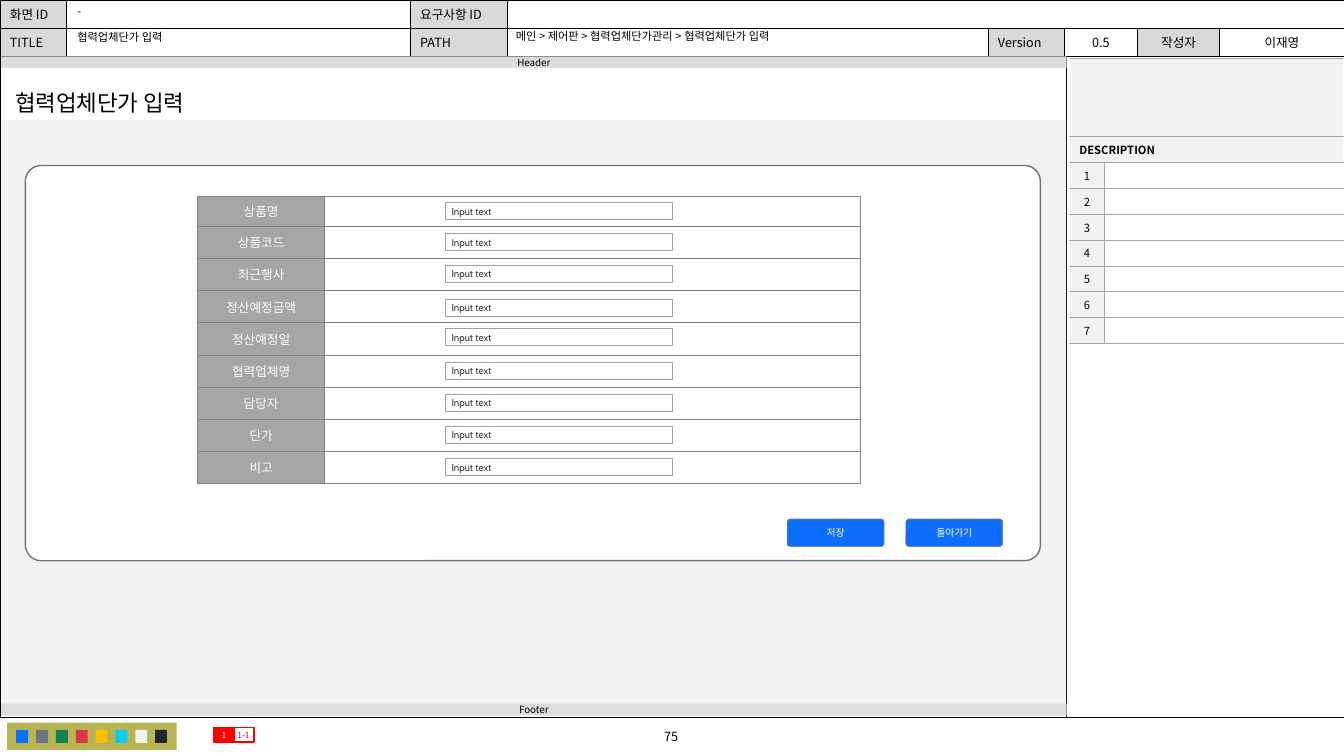
from pptx import Presentation
from pptx.dml.color import RGBColor
from pptx.enum.shapes import MSO_CONNECTOR, MSO_SHAPE
from pptx.enum.text import MSO_ANCHOR, PP_ALIGN
from pptx.oxml.ns import qn
from pptx.util import Cm, Pt
from lxml.etree import SubElement

BLACK = RGBColor(0x00, 0x00, 0x00)
WHITE = RGBColor(0xFF, 0xFF, 0xFF)
RED = RGBColor(0xFF, 0x00, 0x00)
BLUE = RGBColor(0x0D, 0x6E, 0xFD)
SLATE = RGBColor(0x6C, 0x75, 0x7D)
PALE = RGBColor(0xF2, 0xF2, 0xF2)
BAR = RGBColor(0xDD, 0xDD, 0xDD)
LABEL = RGBColor(0xD9, 0xD9, 0xD9)
SILVER = RGBColor(0xA6, 0xA6, 0xA6)
GRAY = RGBColor(0x80, 0x80, 0x80)
EDGE = RGBColor(0xA0, 0xA0, 0xA0)
INK = RGBColor(0x33, 0x33, 0x33)
OLIVE = RGBColor(0xB7, 0xB5, 0x53)
SWATCHES = [BLUE, SLATE, RGBColor(0x10, 0x83, 0x4E), RGBColor(0xDC, 0x35, 0x45),
            RGBColor(0xFF, 0xBE, 0x00), RGBColor(0x0D, 0xCA, 0xF0), PALE,
            RGBColor(0x21, 0x25, 0x29)]
NOTO, CABIN = "Noto Sans CJK KR", "Cabin"
LEFT, MID = PP_ALIGN.LEFT, PP_ALIGN.CENTER

TITLE = "협력업체단가 입력"
PAGE = "75"
HEAD = [["화면 ID", "", "요구사항 ID", "", "", "", "", ""],
        ["TITLE", "", "PATH", "", "Version", "0.5", "작성자", "이재영"]]
HEAD_COLS = [1.68, 8.66, 2.44, 12.12, 1.93, 1.83, 2.08, 3.13]
# text, left, top, width
INFO = [("-", 1.7, 0.03, 8.64),
        (TITLE, 1.7, 0.68, 8.6),
        ("메인 > 제어판 > 협력업체단가관리 > 협력업체단가 입력", 12.75, 0.66, 12.04)]
BANDS = [("Header", 1.42), ("Footer", 17.73)]
NOTES = 7
FIELDS = ["상품명", "상품코드", "최근행사", "정산예정금액", "정산예정일",
          "협력업체명", "담당자", "단가", "비고"]
INPUTS = [5.11, 5.89, 6.68, 7.54, 8.28, 9.12, 9.93, 10.74, 11.56]
BUTTONS = [("저장", 19.84), ("돌아가기", 22.83)]
# text, left, fill, font colour
BADGES = [("1-1", 5.87, None, RED), ("1", 5.38, RED, WHITE)]

deck = Presentation()
deck.slide_width, deck.slide_height = Cm(33.87), Cm(19.05)
slide = deck.slides.add_slide(deck.slide_layouts[5])
shapes = slide.shapes


def style(para, size, color=BLACK, face=NOTO, align=LEFT, bold=False):
    para.alignment = align
    font = para.font
    font.size, font.bold, font.name = Pt(size), bold, face
    font.color.rgb = color
    props = para._p.pPr.find(qn("a:defRPr"))
    SubElement(props, qn("a:ea")).set("typeface", face)


def pad(box, side, end=0):
    box.margin_left = box.margin_right = Cm(side)
    box.margin_top = box.margin_bottom = Cm(end)
    box.vertical_anchor = MSO_ANCHOR.MIDDLE


def shape(x, y, w, h, fill=None, line=None, width=0.5, round=None):
    kind = MSO_SHAPE.RECTANGLE if round is None else MSO_SHAPE.ROUNDED_RECTANGLE
    item = shapes.add_shape(kind, Cm(x), Cm(y), Cm(w), Cm(h))
    item.shadow.inherit = False
    if round is not None:
        item.adjustments[0] = round
    if fill is None:
        item.fill.background()
    else:
        item.fill.solid()
        item.fill.fore_color.rgb = fill
    if line is None:
        item.line.fill.background()
    else:
        item.line.color.rgb = line
        item.line.width = Pt(width)
    return item


def write(item, text, size, side=0, **look):
    frame = item.text_frame
    frame.word_wrap = True
    pad(frame, side)
    frame.text = text
    style(frame.paragraphs[0], size, **look)


def note(text, x, y, w, h, size, align=LEFT):
    box = shapes.add_textbox(Cm(x), Cm(y), Cm(w), Cm(h))
    frame = box.text_frame
    frame.word_wrap = True
    frame.text = text
    style(frame.paragraphs[0], size, align=align)
    return frame.paragraphs[0]


def grid(x, y, cols, rows):
    table = shapes.add_table(len(rows), len(cols), Cm(x), Cm(y),
                             Cm(sum(cols)), Cm(sum(rows))).table
    table.first_row = table.horz_banding = False
    for col, w in zip(table.columns, cols):
        col.width = Cm(w)
    for row, h in zip(table.rows, rows):
        row.height = Cm(h)
    return table


def fill_cell(cell, text, fill, size, line, width, sides="LRTB", side=0.25, **look):
    props = cell._tc.get_or_add_tcPr()
    for edge in sides:
        stroke = SubElement(props, qn("a:ln" + edge), w=str(Pt(width)))
        paint = SubElement(stroke, qn("a:solidFill"))
        SubElement(paint, qn("a:srgbClr"), val=str(line))
    cell.fill.solid()
    cell.fill.fore_color.rgb = fill
    pad(cell, side)
    cell.text = text
    style(cell.text_frame.paragraphs[0], size, **look)


# Page frame
head = grid(0, 0, HEAD_COLS, [0.71, 0.71])
for r, row in enumerate(HEAD):
    for c, text in enumerate(row):
        shade = LABEL if text and c % 2 == 0 else WHITE
        fill_cell(head.cell(r, c), text, shade, 9, BLACK, 0.5,
                  align=MID if c > 4 else LEFT)
head.cell(0, 3).merge(head.cell(0, 7))

shape(0, 1.42, 33.87, 16.65, line=BLACK, width=0.25)
note(PAGE, 13.64, 18.24, 6.55, 0.64, 9, MID)
split = shapes.add_connector(MSO_CONNECTOR.STRAIGHT, Cm(26.87), Cm(1.42),
                             Cm(26.87), Cm(18.06))
split.line.color.rgb = BLACK
split.line.width = Pt(0.5)
SubElement(split._element.spPr, qn("a:effectLst"))

shape(0.18, 18.21, 4.27, 0.69, OLIVE)
for i, color in enumerate(SWATCHES):
    shape(0.41 + 0.5 * i, 18.39, 0.3, 0.33, color)

shape(0.05, 3.03, 26.82, 15.01, PALE)
for text, y in BANDS:
    write(shape(0.03, y, 26.85, 0.3, BAR), text, 7, align=MID)
for text, x, y, w in INFO:
    note(text, x, y, w, 0.58, 8).line_spacing = 0.9
for text, x, fill, color in BADGES:
    write(shape(x, 18.34, 0.53, 0.36, fill, RED, 1), text, 6, color=color, align=MID)

title = shapes.title
title.left, title.top, title.width, title.height = Cm(0.13), Cm(2.11), Cm(5.46), Cm(0.94)
write(title, TITLE, 16, 0.25)
title.text_frame.word_wrap = False

# Description panel
panel = grid(26.95, 1.47, [0.89, 6.02], [1.97, 0.66] + [0.65] * NOTES)
for r in range(NOTES + 2):
    first, last = panel.cell(r, 0), panel.cell(r, 1)
    if r < 2:
        fill_cell(first, "DESCRIPTION" if r else "", PALE, 8, SILVER, 0.5, "TB", bold=True)
        fill_cell(last, "", PALE, 8, SILVER, 0.5, "TB")
        first.merge(last)
    else:
        fill_cell(first, str(r - 1), PALE, 8, SILVER, 0.5, "RTB", 0, align=MID)
        fill_cell(last, "", WHITE, 8, SILVER, 0.5, "LTB")

# Input form
shape(0.64, 4.17, 25.58, 9.96, WHITE, SLATE, 1, 0.04)
form = grid(4.98, 4.94, [3.2, 13.49], [0.76] + [0.81] * (len(FIELDS) - 1))
for r, text in enumerate(FIELDS):
    fill_cell(form.cell(r, 0), text, SILVER, 9, GRAY, 0.25, side=0.13,
              color=WHITE, align=MID)
    fill_cell(form.cell(r, 1), "", WHITE, 9, GRAY, 0.25)
for y in INPUTS:
    write(shape(11.23, y, 5.72, 0.43, WHITE, EDGE), "Input text", 7, 0.15,
          color=INK, face=CABIN)
for text, x in BUTTONS:
    write(shape(x, 13.08, 2.44, 0.69, BLUE, GRAY, round=0.11), text, 7,
          color=WHITE, face=CABIN, align=MID)

deck.save("out.pptx")
